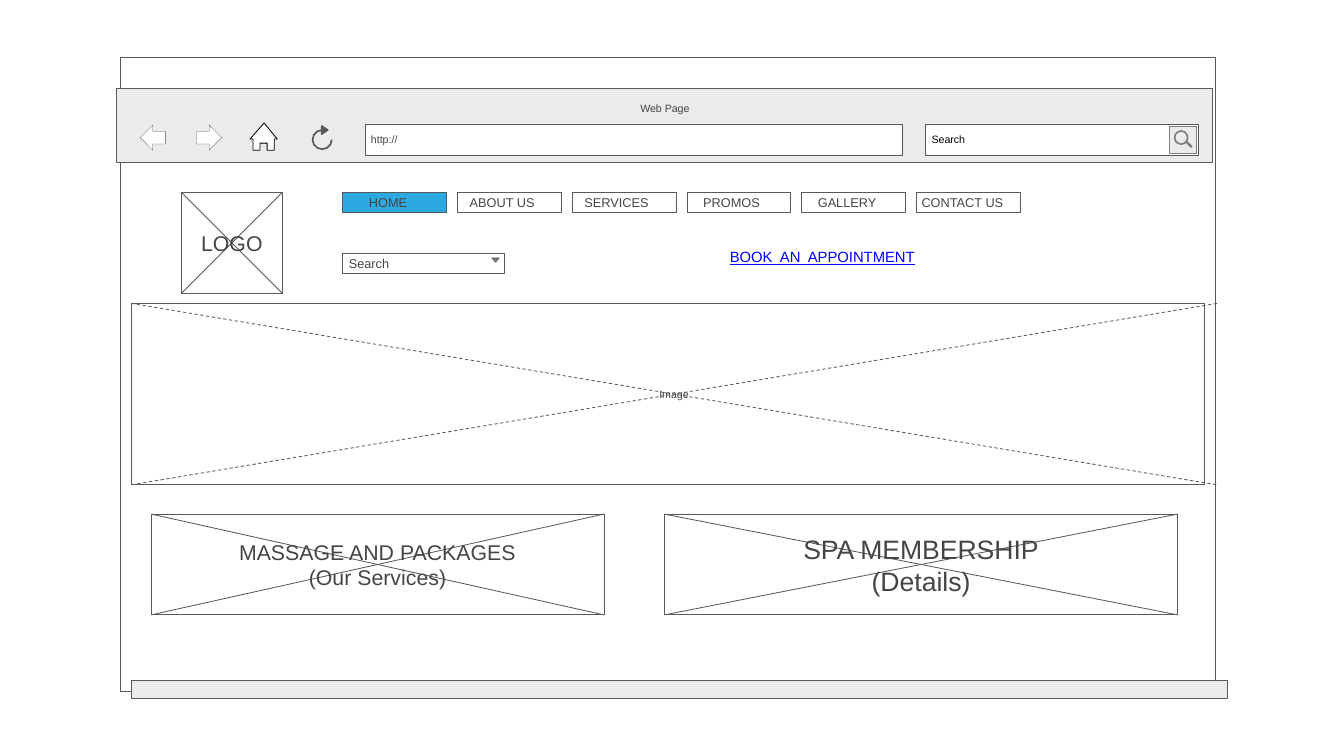
"""Build a wireframe slide of a spa home page inside a browser window."""
from lxml.etree import SubElement
from pptx import Presentation
from pptx.dml.color import RGBColor
from pptx.enum.dml import MSO_LINE
from pptx.enum.shapes import MSO_CONNECTOR, MSO_SHAPE
from pptx.enum.text import MSO_ANCHOR, MSO_AUTO_SIZE, PP_ALIGN
from pptx.oxml.ns import qn
from pptx.util import Inches, Pt

WHITE = RGBColor(0xFF, 0xFF, 0xFF)
BLACK = RGBColor(0x00, 0x00, 0x00)
LIGHT_GRAY = RGBColor(0xEB, 0xEB, 0xEB)
MID_GRAY = RGBColor(0x7E, 0x7E, 0x7E)
OUTLINE = RGBColor(0x59, 0x59, 0x59)
TEXT = RGBColor(0x45, 0x45, 0x45)
ACTIVE_BLUE = RGBColor(0x2C, 0xA9, 0xE0)
LINK_BLUE = RGBColor(0x00, 0x00, 0xFF)
FONT = "Arial"


def paint(shape, fill=WHITE, outline=OUTLINE, weight=0.6):
    shape.shadow.inherit = False
    if fill is None:
        shape.fill.background()
    else:
        shape.fill.solid()
        shape.fill.fore_color.rgb = fill
    shape.line.color.rgb = outline
    shape.line.width = Pt(weight)
    return shape


def write(shape, lines, size, color=TEXT, align=PP_ALIGN.CENTER, inset=0.04, underline=False):
    frame = shape.text_frame
    frame.auto_size = MSO_AUTO_SIZE.NONE
    frame.word_wrap = True
    frame.vertical_anchor = MSO_ANCHOR.MIDDLE
    frame.margin_left, frame.margin_right = Inches(inset), Inches(0.04)
    frame.margin_top = frame.margin_bottom = 0
    for index, line in enumerate(lines):
        paragraph = frame.add_paragraph() if index else frame.paragraphs[0]
        paragraph.alignment = align
        run = paragraph.add_run()
        run.text = line
        run.font.name = FONT
        run.font.size = Pt(size)
        run.font.color.rgb = color
        run.font.underline = underline


presentation = Presentation()
presentation.slide_width, presentation.slide_height = Inches(13.33), Inches(7.5)
slide = presentation.slides.add_slide(presentation.slide_layouts[5])
shapes = slide.shapes

WINDOW_PARTS = [
    (MSO_SHAPE.RECTANGLE, (1.19, 0.57, 10.87, 6.29), WHITE, OUTLINE, 0.6),
    (MSO_SHAPE.RECTANGLE, (1.3, 6.75, 10.87, 0.18), LIGHT_GRAY, OUTLINE, 0.6),
    (MSO_SHAPE.RECTANGLE, (1.16, 0.88, 10.87, 0.73), LIGHT_GRAY, OUTLINE, 0.6),
    (MSO_SHAPE.LEFT_ARROW, (1.39, 1.24, 0.25, 0.25), WHITE, OUTLINE, 0.2),
    (MSO_SHAPE.RIGHT_ARROW, (1.95, 1.24, 0.25, 0.25), WHITE, OUTLINE, 0.2),
]
for kind, box, fill, outline, weight in WINDOW_PARTS:
    paint(shapes.add_shape(kind, *map(Inches, box)), fill, outline, weight)

title = shapes.title
title.left, title.top, title.width, title.height = map(Inches, (1.16, 0.88, 10.87, 0.39))
write(title, ["Web Page"], 7.6)
title.element.getparent().append(title.element)

HOME_POINTS = [(2.48, 1.38), (2.51, 1.38), (2.51, 1.49), (2.58, 1.49), (2.58, 1.42), (2.65, 1.42),
               (2.65, 1.49), (2.72, 1.49), (2.72, 1.38), (2.75, 1.38)]
builder = shapes.build_freeform(Inches(2.62), Inches(1.22))
builder.add_line_segments([(Inches(x), Inches(y)) for x, y in HOME_POINTS], close=True)
paint(builder.convert_to_shape(), outline=BLACK)

reload_arc = shapes.add_shape(MSO_SHAPE.ARC, *map(Inches, (3.1, 1.29, 0.19, 0.19)))
reload_arc.adjustments[0], reload_arc.adjustments[1] = 0, 162
paint(reload_arc, None, weight=1.2)
reload_head = shapes.add_shape(MSO_SHAPE.ISOSCELES_TRIANGLE, *map(Inches, (3.18, 1.26, 0.08, 0.06)))
reload_head.rotation = 90
paint(reload_head, OUTLINE, weight=1.2)

FIELDS = [
    ((3.62, 1.23, 5.33, 0.31), "http://", 7.6, TEXT),
    ((9.18, 1.23, 2.71, 0.31), "Search", 7.6, BLACK),
    ((3.4, 2.51, 1.6, 0.2), "Search", 9.1, TEXT),
]
for box, label, size, color in FIELDS:
    field = paint(shapes.add_shape(MSO_SHAPE.RECTANGLE, *map(Inches, box)))
    write(field, [label], size, color, PP_ALIGN.LEFT, 0.06)

FIELD_ICONS = [
    (MSO_SHAPE.RECTANGLE, (11.6, 1.25, 0.27, 0.27), LIGHT_GRAY, MID_GRAY, 0.6),
    (MSO_SHAPE.OVAL, (11.65, 1.3, 0.13, 0.13), None, MID_GRAY, 1.2),
    (MSO_SHAPE.FLOWCHART_MERGE, (4.88, 2.56, 0.07, 0.04), MID_GRAY, OUTLINE, 0.6),
]
for kind, box, fill, outline, weight in FIELD_ICONS:
    paint(shapes.add_shape(kind, *map(Inches, box)), fill, outline, weight)

MENU = [("HOME", 0.26), ("ABOUT US", 0.12), ("SERVICES", 0.12),
        ("PROMOS", 0.16), ("GALLERY", 0.16), ("CONTACT US", 0.05)]
for index, (label, inset) in enumerate(MENU):
    button = shapes.add_shape(MSO_SHAPE.RECTANGLE, Inches(3.4 + 1.138 * index), Inches(1.91),
                              Inches(1.03), Inches(0.2))
    paint(button, WHITE if index else ACTIVE_BLUE)
    write(button, [label], 9.1, align=PP_ALIGN.LEFT, inset=inset)

PANELS = [
    (1.8, 1.91, 1, 1, 1, ["LOGO"], 15.2, MSO_LINE.SOLID),
    (1.3, 3.01, 10.65, 10.77, 1.8, ["Image"], 7.6, MSO_LINE.DASH),
    (1.5, 5.1, 4.49, 4.49, 1, ["MASSAGE AND PACKAGES", "(Our Services)"], 15.2, MSO_LINE.SOLID),
    (6.59, 5.1, 5.09, 5.09, 1, ["SPA MEMBERSHIP", "(Details)"], 19, MSO_LINE.SOLID),
]
strokes = [((11.77, 1.41, 11.82, 1.46), MID_GRAY, 1.75, MSO_LINE.SOLID)]
for left, top, width, cross_width, height, lines, size, dash in PANELS:
    paint(shapes.add_shape(MSO_SHAPE.RECTANGLE, *map(Inches, (left, top, width, height))))
    right, bottom = left + cross_width, top + height
    strokes.append(((left, top, right, bottom), OUTLINE, 0.6, dash))
    strokes.append(((right, top, left, bottom), OUTLINE, 0.6, dash))

for ends, color, weight, dash in strokes:
    connector = shapes.add_connector(MSO_CONNECTOR.STRAIGHT, *map(Inches, ends))
    connector.line.color.rgb = color
    connector.line.width = Pt(weight)
    connector.line.dash_style = dash
    SubElement(connector.element.spPr, qn("a:effectLst"))

for left, top, width, cross_width, height, lines, size, dash in PANELS:
    label = shapes.add_textbox(*map(Inches, (left, top, cross_width, height)))
    write(label, lines, size)

booking = shapes.add_textbox(*map(Inches, (6.81, 2.41, 2.69, 0.28)))
write(booking, ["BOOK  AN  APPOINTMENT"], 10.6, LINK_BLUE, underline=True)

presentation.save("out.pptx")
